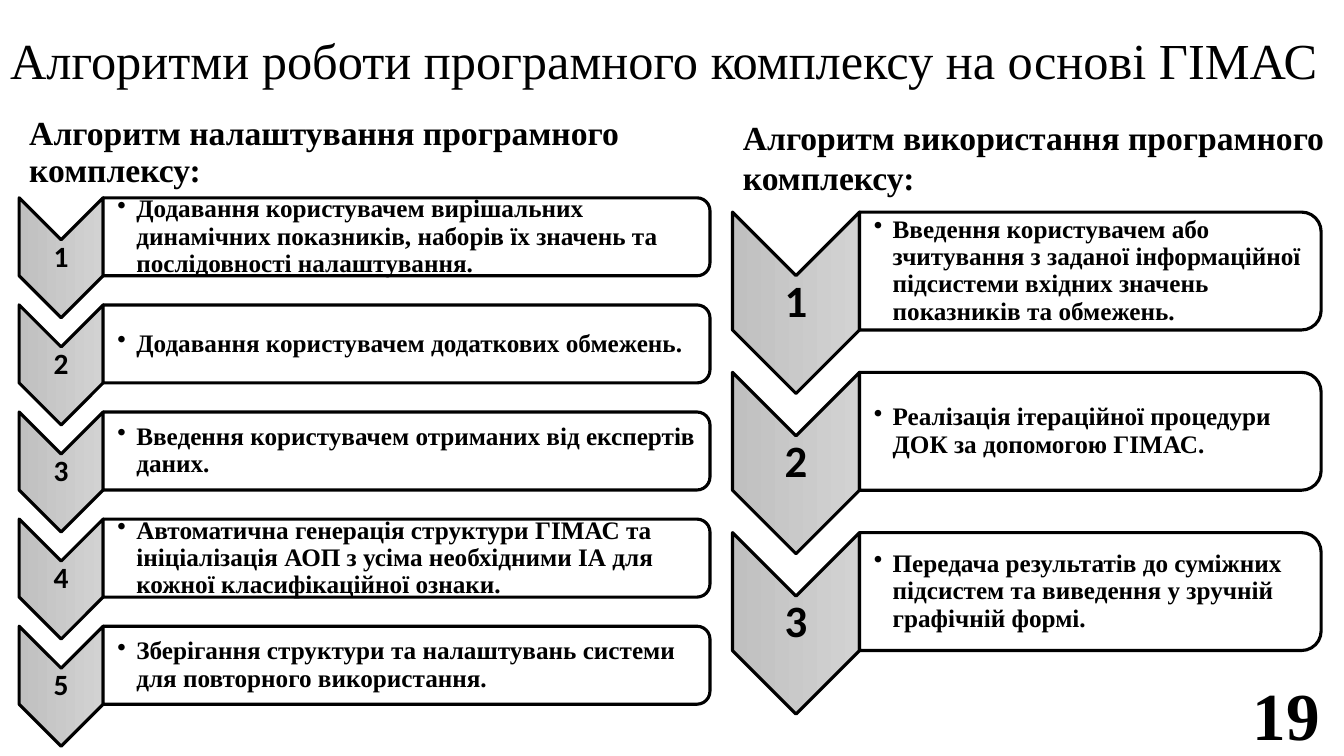
"""Build a slide with two numbered algorithms drawn as chevron lists."""
from lxml import etree
from pptx import Presentation
from pptx.dml.color import RGBColor
from pptx.enum.shapes import MSO_SHAPE as SHAPE
from pptx.enum.text import MSO_ANCHOR as ANCHOR, MSO_AUTO_SIZE as AUTO, PP_ALIGN as ALIGN
from pptx.oxml.ns import qn
from pptx.util import Emu, Pt

CELL = 76200
COLS, ROWS = 160, 90
SERIF, SANS = "Times New Roman", "Calibri"
COLORS = {"ink": "000000", "paper": "FFFFFF", "light": "D2D2D2", "dark": "C0C0C0"}

SETUP = [
    "Додавання користувачем вирішальних динамічних показників, наборів їх значень та послідовності налаштування.",
    "Додавання користувачем додаткових обмежень.",
    "Введення користувачем отриманих від експертів даних.",
    "Автоматична генерація структури ГІМАС та ініціалізація АОП з усіма необхідними ІА для кожної класифікаційної ознаки.",
    "Зберігання структури та налаштувань системи для повторного використання.",
]
USAGE = [
    "Введення користувачем або зчитування з заданої інформаційної підсистеми вхідних значень показників та обмежень.",
    "Реалізація ітераційної процедури ДОК за допомогою ГІМАС.",
    "Передача результатів до суміжних підсистем та виведення у зручній графічній формі.",
]


def grid(*cells):
    """Convert grid cells to lengths."""
    return [Emu(round(c * CELL)) for c in cells]


def color(name):
    """Look up a colour by name."""
    return RGBColor.from_string(COLORS[name])


def write(sp, text, size, font=SERIF, bold=True, align=ALIGN.LEFT, anchor=ANCHOR.MIDDLE,
          spacing=0.9, insets=None, bullet=False):
    """Fill a shape with one formatted paragraph."""
    tf = sp.text_frame
    tf.word_wrap, tf.auto_size, tf.vertical_anchor = True, AUTO.NONE, anchor
    if insets:
        tf.margin_left, tf.margin_top, tf.margin_right, tf.margin_bottom = grid(*insets)
    p = tf.paragraphs[0]
    p.alignment, p.line_spacing, p.space_before = align, spacing, Pt(0)
    r = p.add_run()
    r.text = text
    r.font.name, r.font.size, r.font.bold = font, Pt(size), bold
    r.font.color.rgb = color("ink")
    if bullet:
        pPr = p._p.get_or_add_pPr()
        indent, = grid(2.25)
        pPr.set("marL", str(indent))
        pPr.set("indent", str(-indent))
        etree.SubElement(pPr, qn("a:buChar")).set("char", "•")


def add_label(shapes, box, text, size, **fmt):
    """Add a text box on the grid."""
    write(shapes.add_textbox(*grid(*box)), text, size, **fmt)


def fill_placeholder(sp, box, text, size, **fmt):
    """Move a placeholder on the grid and write in it."""
    sp.left, sp.top, sp.width, sp.height = grid(*box)
    write(sp, text, size, **fmt)


def add_turned(shapes, kind, x, y, w, h):
    """Add an outlined shape turned by 90 degrees that covers the given box."""
    sp = shapes.add_shape(kind, *grid(x + (w - h) / 2, y + (h - w) / 2, h, w))
    sp.rotation = 90
    sp.shadow.inherit = False
    sp.line.color.rgb = color("ink")
    sp.line.width = Pt(2.25)
    return sp


def add_chevron(shapes, x, y, w, h):
    """Add a grey chevron that points down."""
    fill = add_turned(shapes, SHAPE.CHEVRON, x, y, w, h).fill
    fill.gradient()
    fill.gradient_angle = 270
    for stop, name, position in zip(fill.gradient_stops, ("light", "dark"), (0, 1)):
        stop.color.rgb = color(name)
        stop.position = position


def add_panel(shapes, x, y, w, h):
    """Add a translucent panel rounded on its right side."""
    sp = add_turned(shapes, SHAPE.ROUND_2_SAME_RECTANGLE, x, y, w, h)
    sp.fill.solid()
    sp.fill.fore_color.rgb = color("paper")
    srgb = sp._element.spPr.find(qn("a:solidFill")).find(qn("a:srgbClr"))
    etree.SubElement(srgb, qn("a:alpha")).set("val", "90000")


def add_algorithm(s, steps, x, y, chevron_w, panel_w, pitch, number_size):
    """Add a group with one chevron and one panel for each step."""
    shapes = s.shapes.add_group_shape().shapes
    chevron_h = chevron_w / 0.7
    panel_h = chevron_h * 0.65
    pad = panel_h * 0.05
    panel_x = x + chevron_w
    for i, step in enumerate(steps):
        top = y + i * pitch
        add_chevron(shapes, x, top, chevron_w, chevron_h)
        add_label(shapes, (x, top + chevron_h * 0.35, chevron_w, chevron_h * 0.3), str(i + 1),
                  number_size, font=SANS, align=ALIGN.CENTER, insets=[0.2] * 4)
        add_panel(shapes, panel_x, top, panel_w, panel_h)
        add_label(shapes, (panel_x, top + pad, panel_w - pad, panel_h - 2 * pad), step, 18,
                  insets=(1.7, 0.15, 0.15, 0.15), bullet=True)


def main():
    """Build and save the slide."""
    prs = Presentation()
    prs.slide_width, prs.slide_height = grid(COLS, ROWS)
    s = prs.slides.add_slide(prs.slide_layouts.get_by_name("Comparison"))
    title, setup_head, setup_body, usage_head, usage_body = s.placeholders
    for sp in (setup_body, usage_body):
        sp._element.getparent().remove(sp._element)
    fill_placeholder(title, (0, 2.64, COLS, 9.84),
                     "Алгоритми роботи програмного комплексу на основі ГІМАС", 36, bold=False)
    fill_placeholder(setup_head, (2.28, 13.32, 82.2, 9.96),
                     "Алгоритм налаштування програмного комплексу:", 24, anchor=ANCHOR.TOP)
    fill_placeholder(usage_head, (87.24, 13.32, 72, 10.92),
                     "Алгоритм використання програмного комплексу:", 24,
                     anchor=ANCHOR.TOP, spacing=1.0)
    add_algorithm(s, SETUP, 2.28, 23.55, 10, 72.24, 12.75, 21)
    add_algorithm(s, USAGE, 87.2, 25.25, 15.12, 54.96, 19.08, 32)
    add_label(s.shapes, (146.16, 82.56, 12.12, 4.8), "19", 48, align=ALIGN.RIGHT, spacing=1.0)
    prs.save("out.pptx")


if __name__ == "__main__":
    main()
